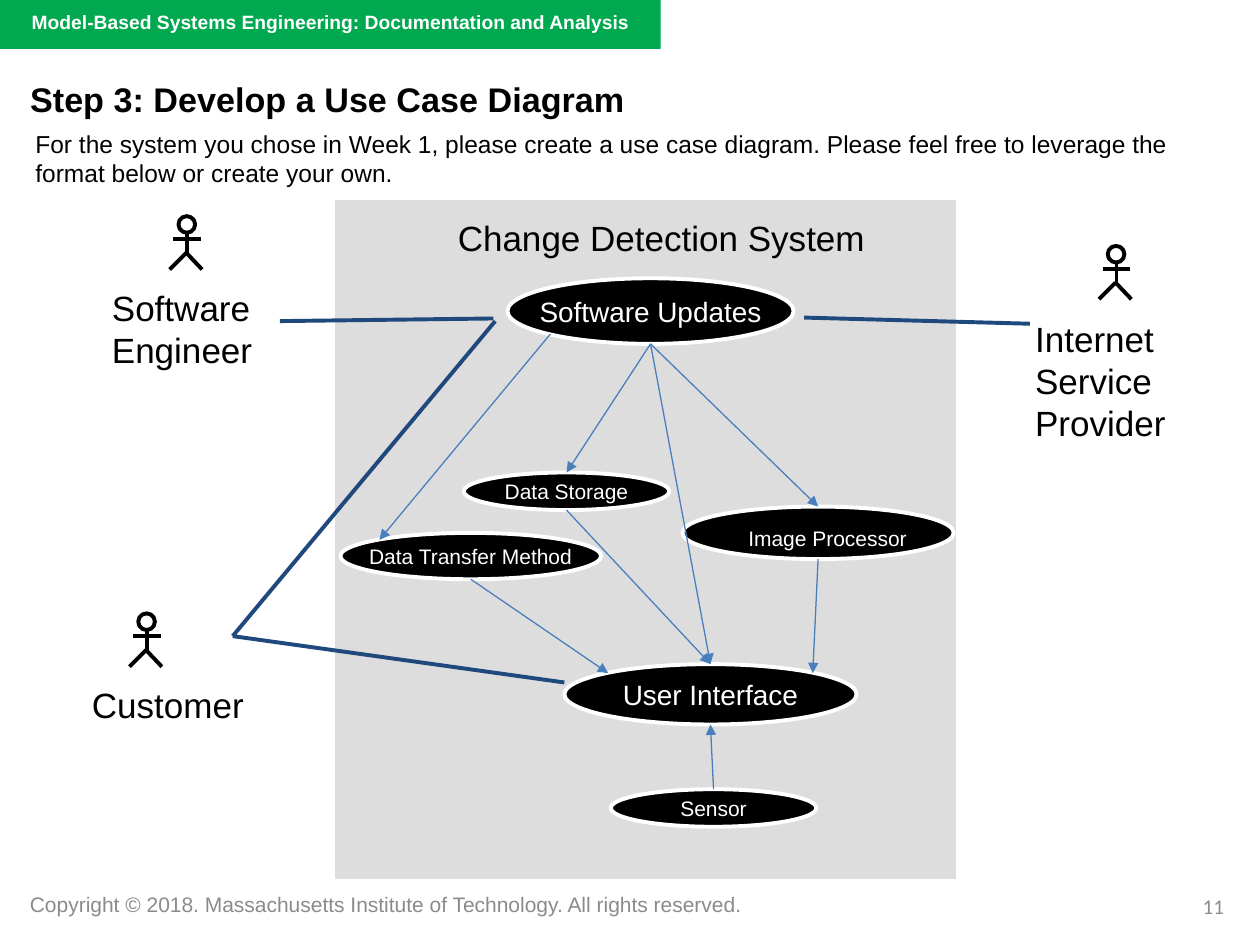
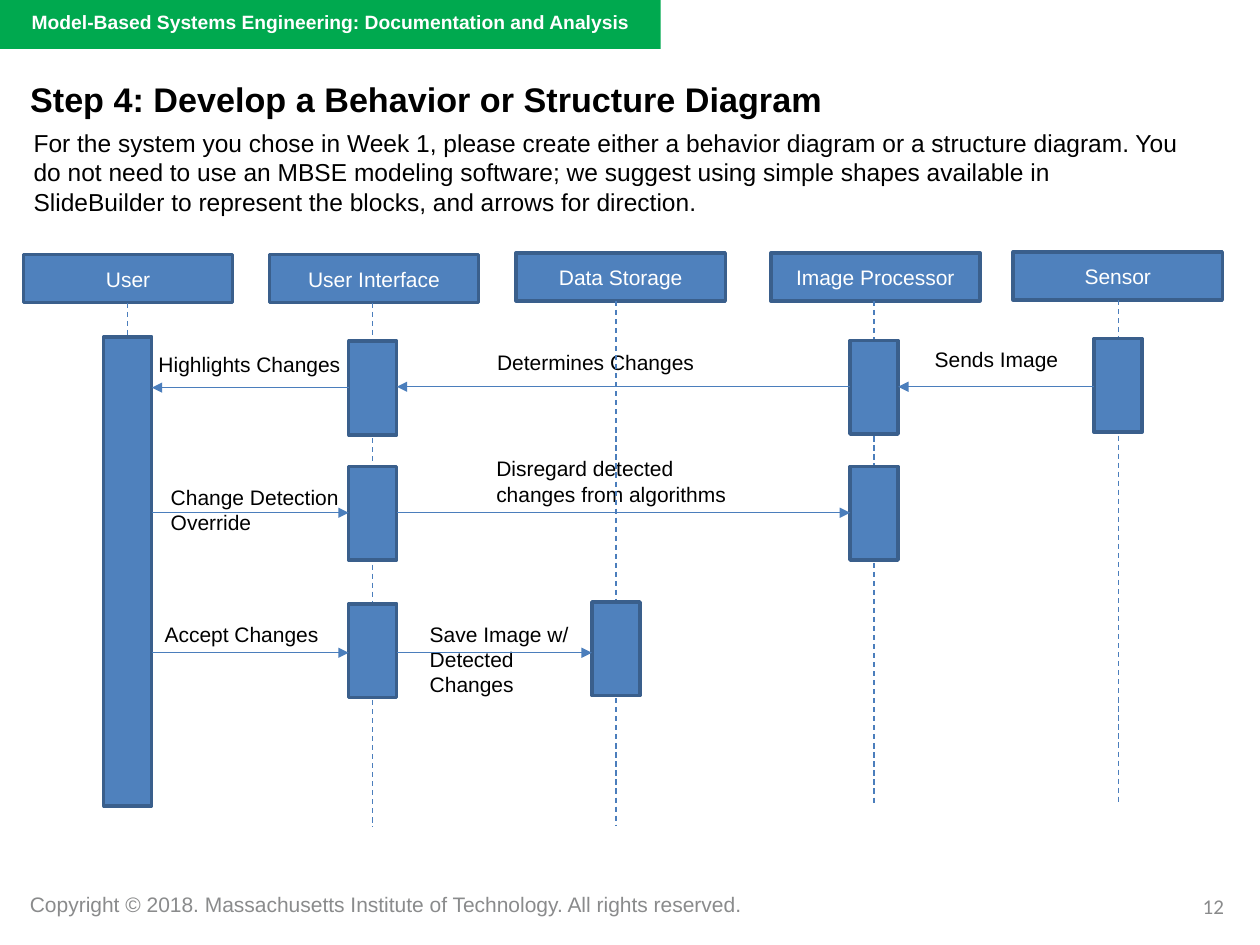
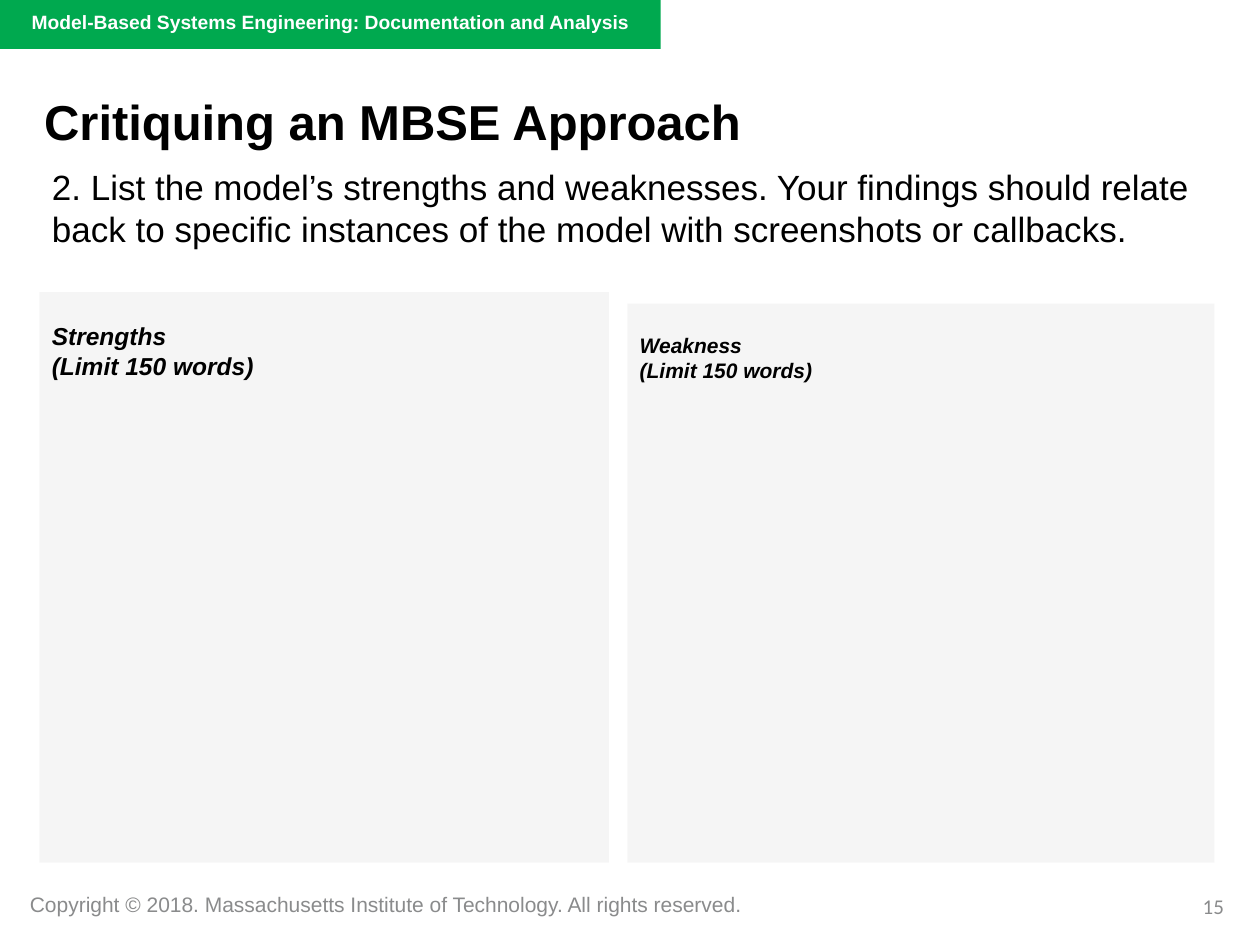
from lxml import etree
from pptx import Presentation
from pptx.dml.color import RGBColor
from pptx.enum.dml import MSO_LINE
from pptx.enum.shapes import MSO_CONNECTOR, MSO_SHAPE
from pptx.enum.text import MSO_ANCHOR, MSO_AUTO_SIZE, PP_ALIGN
from pptx.oxml.ns import qn
from pptx.util import Pt

RECTANGLE, OVAL = MSO_SHAPE.RECTANGLE, MSO_SHAPE.OVAL
LEFT, CENTER, RIGHT = PP_ALIGN.LEFT, PP_ALIGN.CENTER, PP_ALIGN.RIGHT
TOP, MIDDLE = MSO_ANCHOR.TOP, MSO_ANCHOR.MIDDLE

BLACK, WHITE, GREEN, GRAY = "000000", "FFFFFF", "00A94F", "8A8B8C"
SYSTEM_GRAY, PANEL_GRAY = "DDDDDD", "A6A6A6"
BLUE, BLUE_EDGE, ARROW_BLUE, NAVY = "4F81BD", "3A5F8C", "4B7EBC", "1F497D"
INSETS = (7.2, 3.6)
LABEL_INSETS = (6.5, 3)

COURSE = "Model-Based Systems Engineering: Documentation and Analysis"
COPYRIGHT = "Copyright © 2018. Massachusetts Institute of Technology. All rights reserved."

# Boxes are left, top, width, height.
STEP_TITLE = {"box": (10, 37, 648, 39.5), "size": 19.5}
USE_CASE_PAGE = {
    "number": "11",
    "title": "Step 3: Develop a Use Case Diagram",
    "title_style": STEP_TITLE,
    "body": "For the system you chose in Week 1, please create a use case diagram. "
            "Please feel free to leverage the format below or create your own.",
    "body_style": {"box": (13, 70, 676, 41), "size": 14},
}
SEQUENCE_PAGE = {
    "number": "12",
    "title": "Step 4: Develop a Behavior or Structure Diagram",
    "title_style": STEP_TITLE,
    "body": "For the system you chose in Week 1, please create either a behavior diagram "
            "or a structure diagram. You do not need to use an MBSE modeling software; "
            "we suggest using simple shapes available in SlideBuilder to represent the "
            "blocks, and arrows for direction.",
    "body_style": {"box": (12, 69.5, 673, 58), "size": 14},
}
CRITIQUE_PAGE = {
    "number": "15",
    "title": "Critiquing an MBSE Approach",
    "title_style": {"box": (18, 48, 581, 42), "size": 28},
    "body": "2. List the model’s strengths and weaknesses. Your findings should relate "
            "back to specific instances of the model with screenshots or callbacks.",
    "body_style": {"box": (22.5, 91, 672, 82), "size": 20},
}

SYSTEM_BOX = (191, 114, 355.5, 388.5)
SYSTEM_NAME = ("Change Detection System", (192, 120.5, 372, 30))
ACTORS = [  # name, label box, head left, head top
    ("Internet Service Provider", (585, 178.5, 132, 79), 633, 140.5),
    ("Software Engineer", (57.5, 160.5, 100, 55), 102, 123.5),
    ("Customer", (46, 387.5, 104, 30), 79, 350.5),
]
HEAD_SIZE = 9.5
LIMBS = [  # start and end, measured from the head's corner
    ((5, 9), (5, 21)),
    ((-3, 13), (13, 13)),
    ((13.5, 30.5), (4.5, 21)),
    ((-5, 30.5), (4.5, 21)),
]
USE_CASES = {  # name: box, text size
    "Software Updates": ((290, 159, 163.5, 37.5), 16),
    "User Interface": ((322.5, 379.5, 167, 34.5), 16),
    "Sensor": ((349, 451, 117.5, 21.5), 12),
    "Image Processor": ((390, 289.5, 155, 30), 12),
    "Data Transfer Method": ((194.5, 304.5, 149, 26.5), 12),
    "Data Storage": ((265, 270, 117.5, 21.5), 12),
}
TEXT_OFFSETS = {"Image Processor": (11, 6)}
OVAL_SITES = {  # share of width and height from the centre
    "top": (0, -0.5), "bottom": (0, 0.5),
    "top left": (-0.35, -0.35), "top right": (0.35, -0.35),
    "bottom left": (-0.35, 0.35),
}
DEPENDENCIES = [
    ("Image Processor", "bottom", "User Interface", "top right"),
    ("Data Transfer Method", "bottom", "User Interface", "top left"),
    ("Data Storage", "bottom", "User Interface", "top"),
    ("Sensor", "top", "User Interface", "bottom"),
    ("Software Updates", "bottom", "Image Processor", "top"),
    ("Software Updates", "bottom", "User Interface", "top"),
    ("Software Updates", "bottom", "Data Storage", "top"),
    ("Software Updates", "bottom left", "Data Transfer Method", "top left"),
]
CUSTOMER_POINT = (133, 363.5)
ASSOCIATIONS = [
    ((459.5, 181.5), (588.5, 185)),
    ((160, 183.5), (282, 182)),
    (CUSTOMER_POINT, (283, 183.5)),
    (CUSTOMER_POINT, (322.5, 390)),
]

HEADER_WIDTH, HEADER_HEIGHT = 119.5, 27.5
BAR_WIDTH, SHORT_BAR, LONG_BAR = 27.5, 53.5, 268
PARTICIPANTS = {  # name: header left, header top, lifeline x, lifeline end, bar tops, bar height
    "User": (13.5, 145.5, 73, 461, [192.5], LONG_BAR),
    "User Interface": (154, 145.5, 213, 472.5, [195, 266.5, 345], SHORT_BAR),
    "Data Storage": (295, 144.5, 352, 471.5, [344], SHORT_BAR),
    "Image Processor": (440.5, 144.5, 499.5, 460, [194.5, 266.5], SHORT_BAR),
    "Sensor": (579, 144, 639, 459.5, [193.5], SHORT_BAR),
}
MESSAGES = [  # sender, receiver, arrow y, label, label box
    ("Sensor", "Image Processor", 221, "Sends Image", (527, 194.5, 95, 21.5)),
    ("Image Processor", "User Interface", 221, "Determines Changes", (277, 196, 135.5, 21.5)),
    ("User Interface", "User", 221.5, "Highlights Changes", (83.5, 197.5, 135.5, 21.5)),
    ("User", "User Interface", 293, "Change Detection\nOverride", (90.5, 273.5, 135.5, 36)),
    ("User Interface", "Image Processor", 293,
     "Disregard detected changes from algorithms", (276.5, 257, 150.5, 36)),
    ("User", "User Interface", 373, "Accept Changes", (87, 351.5, 111, 21.5)),
    ("User Interface", "Data Storage", 373,
     "Save Image w/ Detected Changes", (238.5, 351.5, 111, 51)),
]

PANELS = [  # text, box, text size
    ("Strengths\n(Limit 150 words)", (22.5, 167, 325.5, 326), 14),
    ("Weakness\n(Limit 150 words)", (358.5, 173.5, 335.5, 319.5), 12),
]
PANEL_TOP_INSET = 16.5


def rgb(color):
    return RGBColor.from_string(color)


def points(values):
    return [Pt(value) for value in values]


def write(shape, text, size, color=BLACK, bold=False, italic=False, font="Arial",
          align=LEFT, anchor=TOP, insets=INSETS, wrap=True):
    frame = shape.text_frame
    frame.text = text
    frame.auto_size = MSO_AUTO_SIZE.NONE
    frame.word_wrap = wrap
    frame.vertical_anchor = anchor
    frame.margin_left = frame.margin_right = Pt(insets[0])
    frame.margin_top = frame.margin_bottom = Pt(insets[1])
    for para in frame.paragraphs:
        para.alignment = align
        para.space_before = Pt(0)
        para.font.name = font
        para.font.size = Pt(size)
        para.font.bold = bold
        para.font.italic = italic
        para.font.color.rgb = rgb(color)


def add_text(page, text, box, size, **style):
    shape = page.shapes.add_textbox(*points(box))
    write(shape, text, size, **style)
    return shape


def add_block(page, kind, box, fill=None, line=None, weight=0.75):
    shape = page.shapes.add_shape(kind, *points(box))
    shape.shadow.inherit = False
    if fill:
        shape.fill.solid()
        shape.fill.fore_color.rgb = rgb(fill)
    else:
        shape.fill.background()
    if line:
        shape.line.color.rgb = rgb(line)
        shape.line.width = Pt(weight)
    else:
        shape.line.fill.background()
    return shape


def add_line(page, start, end, color=ARROW_BLUE, weight=0.75, dashed=False, arrow=False):
    connector = page.shapes.add_connector(MSO_CONNECTOR.STRAIGHT, *points(start + end))
    connector.line.color.rgb = rgb(color)
    connector.line.width = Pt(weight)
    if dashed:
        connector.line.dash_style = MSO_LINE.DASH
    properties = connector.element.spPr
    if arrow:
        etree.SubElement(properties.find(qn("a:ln")), qn("a:tailEnd"), type="triangle")
    etree.SubElement(properties, qn("a:effectLst"))


def place(shape, box):
    shape.left, shape.top, shape.width, shape.height = points(box)


def add_page(deck, layout, content):
    page = deck.slides.add_slide(layout)
    title, body = page.shapes.title, page.placeholders[1]
    title_style, body_style = content["title_style"], content["body_style"]
    place(title, title_style["box"])
    write(title, content["title"], title_style["size"], bold=True, anchor=MIDDLE)
    place(body, body_style["box"])
    write(body, content["body"], body_style["size"])
    for para in body.text_frame.paragraphs:
        properties = para._p.get_or_add_pPr()
        properties.set("marL", "0")
        properties.set("indent", "0")
        bullet = etree.Element(qn("a:buNone"))
        properties.find(qn("a:defRPr")).addprevious(bullet)
    add_text(page, content["number"], (538.5, 507, 168, 29), 12,
             color=GRAY, font="Calibri", align=RIGHT)
    return page


def move_band_and_footer_to_layout(page, layout):
    """Draw the shared parts on a page, then hand them to its layout."""
    shared = [
        add_block(page, RECTANGLE, (-1, 0, 378.5, 28), fill=GREEN),
        add_text(page, COURSE, (11, 2.5, 377, 42), 11, color=WHITE, bold=True),
        add_text(page, COPYRIGHT, (10, 506, 440, 22), 12, color=GRAY),
    ]
    for shape in shared:
        layout.shapes.element.append(shape.element)


def add_actor(page, name, label_box, x, y):
    add_block(page, OVAL, (x, y, HEAD_SIZE, HEAD_SIZE), line=BLACK, weight=2.25)
    for limb in LIMBS:
        start, end = [(x + dx, y + dy) for dx, dy in limb]
        add_line(page, start, end, BLACK, 2.25)
    add_text(page, name, label_box, 20, insets=LABEL_INSETS)


def oval_site(name, site):
    left, top, width, height = USE_CASES[name][0]
    dx, dy = OVAL_SITES[site]
    return left + width * (0.5 + dx), top + height * (0.5 + dy)


def draw_use_cases(page):
    add_block(page, RECTANGLE, SYSTEM_BOX, SYSTEM_GRAY, WHITE)
    add_text(page, *SYSTEM_NAME, 20, align=CENTER, insets=LABEL_INSETS)
    for actor in ACTORS:
        add_actor(page, *actor)
    for name, (box, size) in USE_CASES.items():
        oval = add_block(page, OVAL, box, BLACK, WHITE, 2.25)
        write(oval, name, size, WHITE, align=CENTER, anchor=MIDDLE, insets=(0, 0), wrap=False)
        left_offset, top_offset = TEXT_OFFSETS.get(name, (0, 0))
        oval.text_frame.margin_left = Pt(left_offset)
        oval.text_frame.margin_top = Pt(top_offset)
    for start, end in ASSOCIATIONS:
        add_line(page, start, end, NAVY, 2.25)
    for source, source_site, target, target_site in DEPENDENCIES:
        add_line(page, oval_site(source, source_site), oval_site(target, target_site),
                 arrow=True)


def draw_sequence(page):
    for _, _, _, label, box in MESSAGES:
        add_text(page, label, box, 12)
    for name, (left, top, lane, life_end, bar_tops, bar_height) in PARTICIPANTS.items():
        header = add_block(page, RECTANGLE, (left, top, HEADER_WIDTH, HEADER_HEIGHT),
                           BLUE, BLUE_EDGE, 2)
        write(header, name, 12, WHITE, align=CENTER, anchor=MIDDLE)
        add_line(page, (lane, top + HEADER_HEIGHT), (lane, life_end), dashed=True)
        for bar_top in bar_tops:
            add_block(page, RECTANGLE, (lane - BAR_WIDTH / 2, bar_top, BAR_WIDTH, bar_height),
                      BLUE, BLUE_EDGE, 2)
    for sender, receiver, y, _, _ in MESSAGES:
        start, end = PARTICIPANTS[sender][2], PARTICIPANTS[receiver][2]
        reach = BAR_WIDTH / 2 if end > start else -BAR_WIDTH / 2
        add_line(page, (start + reach, y), (end - reach, y), arrow=True)


def draw_panels(page):
    for text, box, size in PANELS:
        panel = add_block(page, RECTANGLE, box, PANEL_GRAY)
        color = panel.element.spPr.find(qn("a:solidFill"))[0]
        etree.SubElement(color, qn("a:alpha"), val="10000")
        write(panel, text, size, bold=True, italic=True)
        panel.text_frame.margin_top = Pt(PANEL_TOP_INSET)


def main():
    deck = Presentation()
    deck.slide_width, deck.slide_height = Pt(720), Pt(540)
    layout = deck.slide_layouts[1]
    pages = [
        (USE_CASE_PAGE, draw_use_cases),
        (SEQUENCE_PAGE, draw_sequence),
        (CRITIQUE_PAGE, draw_panels),
    ]
    for content, draw in pages:
        page = add_page(deck, layout, content)
        draw(page)
    move_band_and_footer_to_layout(page, layout)
    deck.save("out.pptx")


if __name__ == "__main__":
    main()
